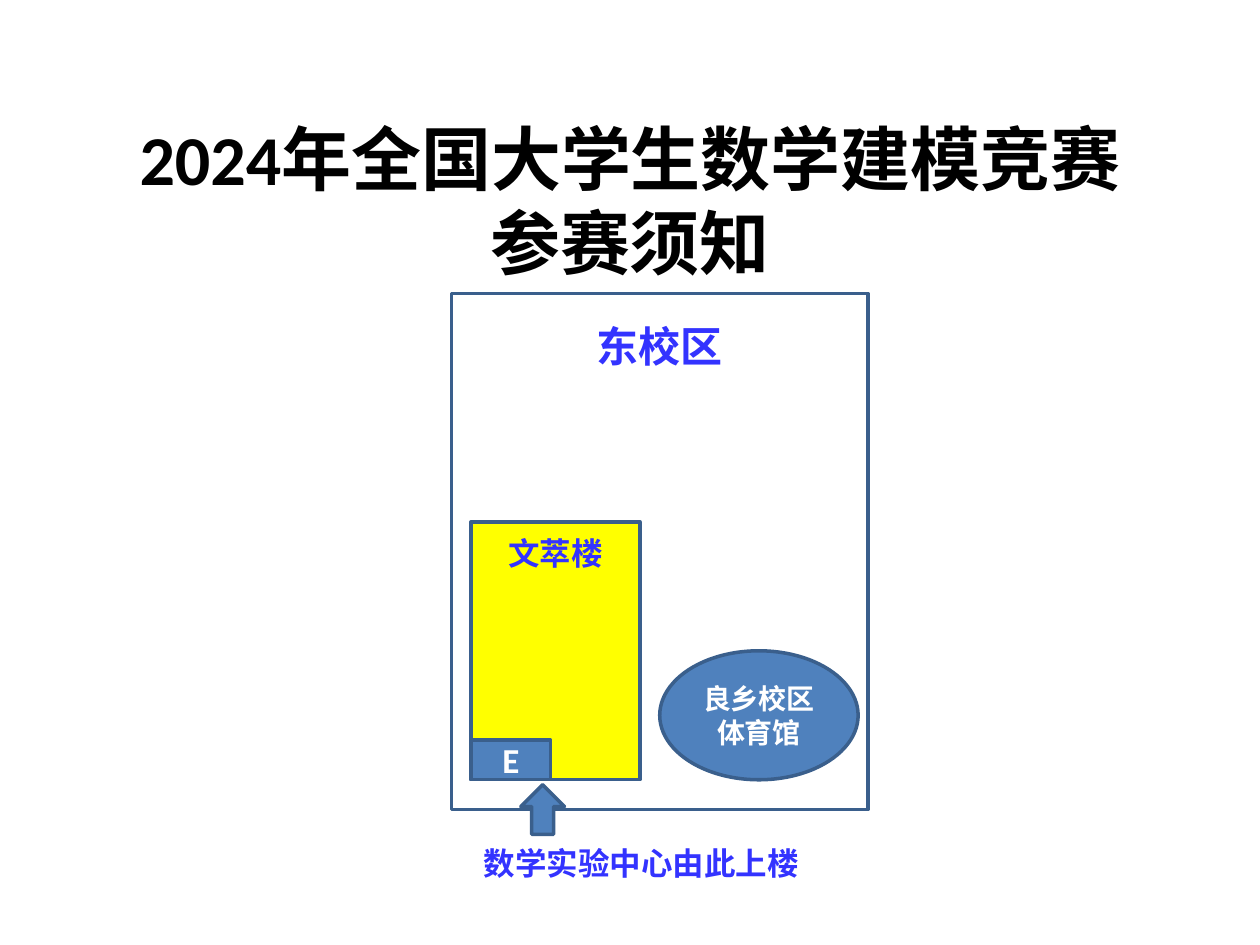
from pptx import Presentation
from pptx.dml.color import RGBColor
from pptx.enum.shapes import MSO_SHAPE
from pptx.enum.text import MSO_ANCHOR, PP_ALIGN
from pptx.util import Cm, Pt

RECT, OVAL, UP_ARROW = MSO_SHAPE.RECTANGLE, MSO_SHAPE.OVAL, MSO_SHAPE.UP_ARROW
TOP, MIDDLE = MSO_ANCHOR.TOP, MSO_ANCHOR.MIDDLE
LEFT, CENTER = PP_ALIGN.LEFT, PP_ALIGN.CENTER
WHITE, BLACK, YELLOW = "FFFFFF", "000000", "FFFF00"
BLUE, STEEL, OUTLINE = "3333FF", "4F81BD", "3A5F8C"


def rgb(value):
    return RGBColor.from_string(value)


class CampusMap:
    """Holds the text and outline style and the slide being drawn."""

    def __init__(self, prs):
        self.font = {"name": "Calibri", "bold": True}
        self.line_width = Pt(2)
        self.s = prs.slides.add_slide(prs.slide_layouts[5])

    def place(self, sp, box):
        for name, value in zip(("left", "top", "width", "height"), box):
            setattr(sp, name, Cm(value))

    def set_text(self, sp, lines, size, color, align=CENTER, anchor=MIDDLE):
        tf = sp.text_frame
        tf.word_wrap = True
        tf.vertical_anchor = anchor
        p = tf.paragraphs[0]
        p.alignment = align
        for i, line in enumerate(lines):
            if i:
                p.add_line_break()
            r = p.add_run()
            r.text = line
            for name, value in {**self.font, "size": Pt(size)}.items():
                setattr(r.font, name, value)
            r.font.color.rgb = rgb(color)

    def title(self, box, lines, size):
        sp = self.s.shapes.title
        self.place(sp, box)
        self.set_text(sp, lines, size, BLACK)

    def shape(self, kind, box, fill):
        sp = self.s.shapes.add_shape(kind, *map(Cm, box))
        sp.shadow.inherit = False
        sp.fill.solid()
        sp.fill.fore_color.rgb = rgb(fill)
        sp.line.color.rgb = rgb(OUTLINE)
        sp.line.width = self.line_width
        return sp

    def place_name(self, kind, box, fill, text, size, color, inset=None):
        sp = self.shape(kind, box, fill)
        if inset is not None:
            sp.text_frame.margin_top = Cm(inset)
        self.set_text(sp, [text], size, color, anchor=MIDDLE if inset is None else TOP)

    def note(self, box, text, size):
        sp = self.s.shapes.add_textbox(*map(Cm, box))
        self.set_text(sp, [text], size, BLUE, LEFT, TOP)


def main():
    prs = Presentation()
    prs.slide_width, prs.slide_height = Cm(25.4), Cm(19.05)
    campus = CampusMap(prs)
    campus.title((1.9, 1.63, 21.6, 4.8), ["2024年全国大学生数学建模竞赛", "参赛须知"], 40)
    campus.place_name(RECT, (9.1, 5.92, 8.4, 10.4), WHITE, "东校区", 24, BLUE, 0.55)
    campus.place_name(RECT, (9.5, 10.52, 3.4, 5.2), YELLOW, "文萃楼", 18, BLUE, 0.25)
    campus.place_name(RECT, (9.5, 14.92, 1.6, 0.8), STEEL, "E", 20, WHITE)
    campus.shape(UP_ARROW, (10.5, 15.82, 0.88, 1), STEEL)
    campus.note((9.5, 16.9, 7.4, 1.02), "数学实验中心由此上楼", 18)
    campus.place_name(OVAL, (13.3, 13.12, 4, 2.6), STEEL, "良乡校区体育馆", 16, WHITE)
    prs.save("out.pptx")


if __name__ == "__main__":
    main()
